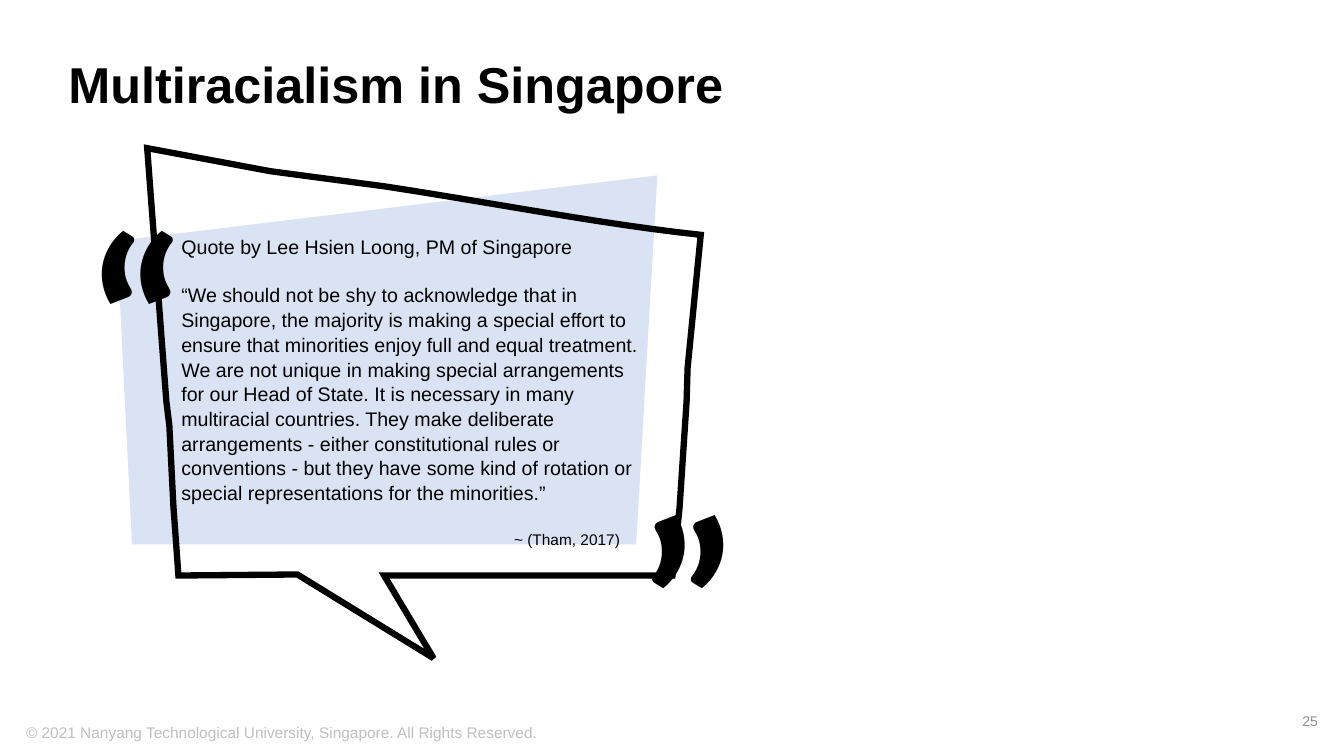
from pptx import Presentation
from pptx import util as u
from pptx.dml.color import RGBColor
from pptx.enum import text as t
from pptx.oxml import parse_xml
from pptx.oxml.ns import nsdecls

HUES = {"ink": "000000", "panel": "DAE3F3", "foot": "BFBFBF", "num": "8C8C8C"}

TITLE = "Multiracialism in Singapore"
FOOT = "© 2021 Nanyang Technological University, Singapore. All Rights Reserved."
PAGE = "25"
# Each line of the quote: text, size, space before (points), left indent (inches)
QUOTE = [
    ("Quote by Lee Hsien Loong, PM of Singapore", 14, 0, 0),
    ("“We should not be shy to acknowledge that in Singapore, the majority is "
     "making a special effort to ensure that minorities enjoy full and equal "
     "treatment. We are not unique in making special arrangements for our Head "
     "of State. It is necessary in many multiracial countries. They make "
     "deliberate arrangements - either constitutional rules or conventions - "
     "but they have some kind of rotation or special representations for the "
     "minorities.”", 14, 17, 0),
    ("~ (Tham, 2017)", 11, 18, 3.3),
]
MARKS = [(0.82, 1.74, 0), (6.4, 3.51, 180)]  # left, top, turn

PANEL = [(1.16, 2.39), (6.52, 1.74), (6.31, 5.4), (1.31, 5.4)]
START = [(1.46, 1.47), (2.58, 1.68), (2.69, 1.7)]
CURVE = [(3.82, 1.85), (4.81, 2), (6, 2.23), (6.95, 2.33)]
REST = [(6.82, 3.65), (6.81, 3.98), (6.74, 5.04), (6.67, 5.71), (3.81, 5.71),
        (4.3, 6.53), (2.95, 5.7), (1.77, 5.71), (1.72, 5.02), (1.68, 4.22),
        (1.65, 3.98)]

prs = Presentation()
prs.slide_width, prs.slide_height = u.Inches(13.33), u.Inches(7.5)
slide = prs.slides.add_slide(prs.slide_layouts[6])


def color(name):
    return RGBColor.from_string(HUES[name])


def write(lines, at, hue="ink", font="Arial", bold=False, align="LEFT",
          anchor="TOP", gap=1.0, wrap=True, grow=False):
    box = slide.shapes.add_textbox(*map(u.Inches, at))
    frame = box.text_frame
    frame.word_wrap = wrap
    if grow:
        frame.auto_size = t.MSO_AUTO_SIZE.SHAPE_TO_FIT_TEXT
    frame.vertical_anchor = t.MSO_ANCHOR[anchor]
    for i, (words, size, before, indent) in enumerate(lines):
        para = frame.add_paragraph() if i else frame.paragraphs[0]
        para.alignment = t.PP_ALIGN[align]
        para.line_spacing = gap
        if before:
            para.space_before = u.Pt(before)
        if indent:
            para._p.get_or_add_pPr().set("marL", str(u.Inches(indent)))
        run = para.add_run()
        run.text = words
        run.font.name, run.font.size, run.font.bold = font, u.Pt(size), bold
        run.font.color.rgb = color(hue)
    return box


def outline(points):
    spots = [(u.Inches(x), u.Inches(y)) for x, y in points]
    pen = slide.shapes.build_freeform(*spots[0])
    pen.add_line_segments(spots[1:], close=True)
    shape = pen.convert_to_shape()
    shape.shadow.inherit = False
    return shape


def bezier(ends, steps=12):
    def spot(k):
        s = k / steps
        parts = ((1 - s) ** 3, 3 * s * (1 - s) ** 2, 3 * s * s * (1 - s), s ** 3)
        return tuple(sum(w * p[axis] for w, p in zip(parts, ends))
                     for axis in (0, 1))
    return [spot(k) for k in range(steps + 1)]


# Footer, title and page number
write([(FOOT, 11, 0, 0)], (0.16, 7.12, 8, 0.23), hue="foot")
write([(TITLE, 36, 0, 0)], (0.58, 0.4, 11.5, 0.92), bold=True,
      anchor="MIDDLE", gap=0.9)
write([(PAGE, 10, 0, 0)], (10.17, 6.95, 3, 0.4), hue="num", align="RIGHT",
      anchor="MIDDLE")

# Tinted panel
panel = outline(PANEL)
panel.fill.solid()
panel.fill.fore_color.rgb = color("panel")
panel.line.fill.background()

# Speech bubble
bubble = outline(START + bezier(CURVE) + REST)
bubble.fill.background()
bubble.line.color.rgb = color("ink")
bubble.line.width = u.Pt(4.5)
bubble.line._get_or_add_ln().append(
    parse_xml(f'<a:miter {nsdecls("a")} lim="800000"/>'))

# Quotation marks
for left, top, turn in MARKS:
    mark = write([("“", 166, 0, 0)], (left, top, 0.97, 2.89), font="Lato",
                 bold=True, align="CENTER", wrap=False, grow=True)
    mark.rotation = turn
    props = mark.text_frame.paragraphs[0].runs[0]._r.get_or_add_rPr()
    props.insert(0, parse_xml(
        f'<a:ln {nsdecls("a")} w="{u.Pt(0.75)}"><a:solidFill>'
        f'<a:srgbClr val="{HUES["ink"]}"/></a:solidFill></a:ln>'))

# Quote
write(QUOTE, (1.7, 2.27, 4.81, 3.13), gap=1.05, grow=True)

prs.save("out.pptx")
